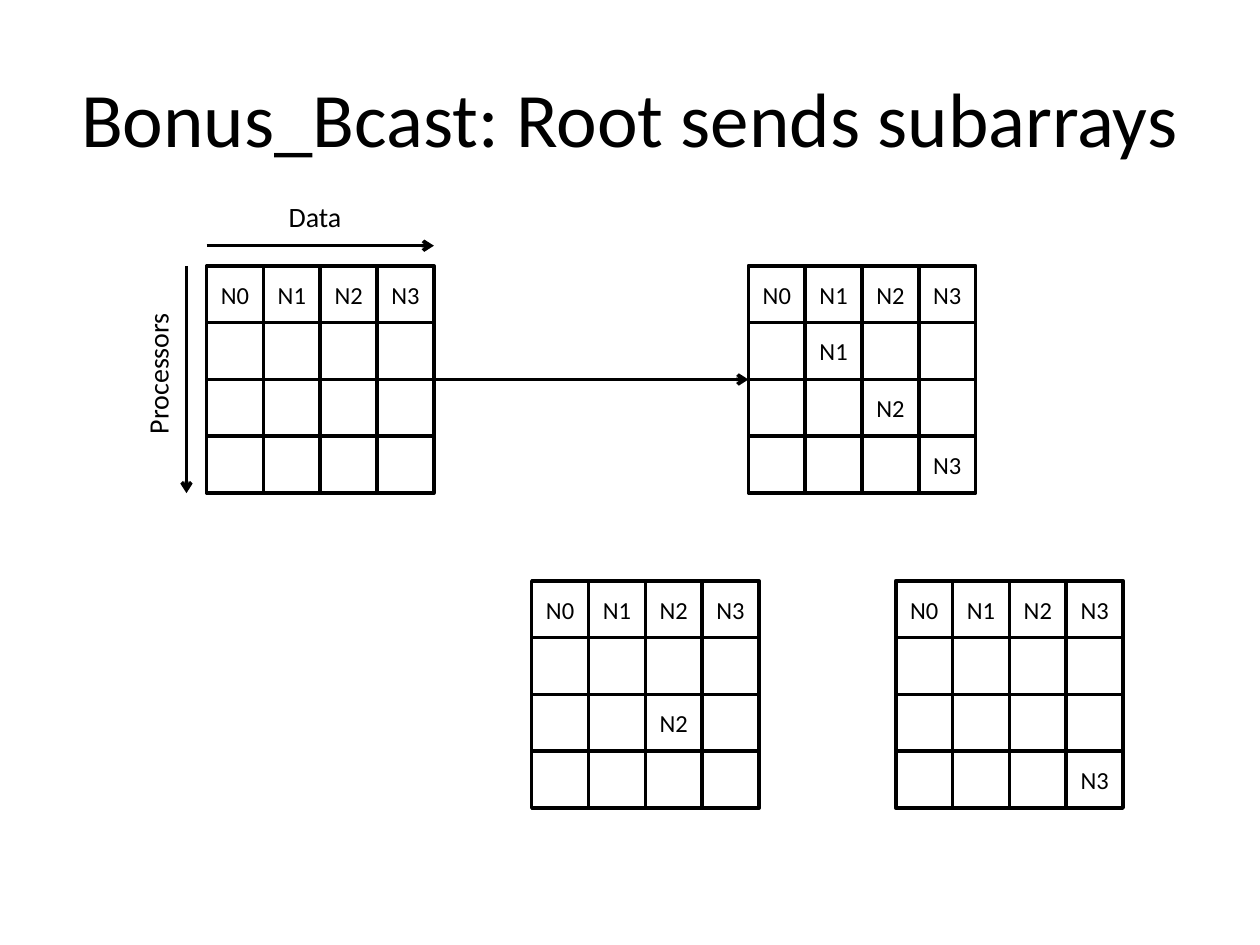
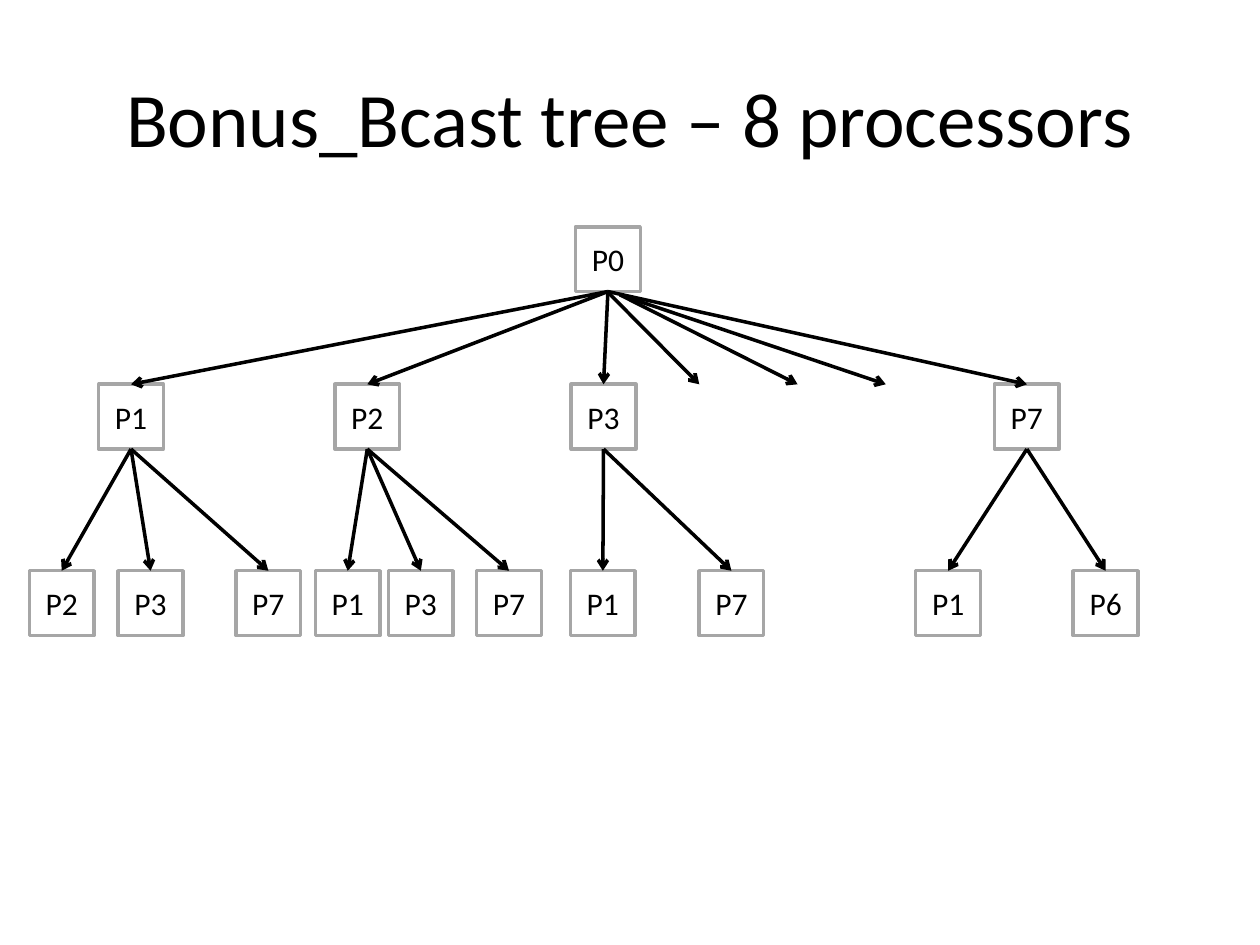
"""Builds two slides on broadcasting subarrays, laid out on a grid of 100 columns by 75 rows."""
from lxml.etree import SubElement as Sub
from pptx import Presentation as Deck
from pptx.dml.color import RGBColor as RGB
from pptx.enum.shapes import MSO_CONNECTOR as Link, MSO_SHAPE as Form
from pptx.enum.text import MSO_ANCHOR as Anchor, PP_ALIGN as Align
from pptx.oxml.ns import qn
from pptx.util import Inches, Pt

COLS, ROWS = 100, 75
CELL, NODE = 4.51, 5.14
HEADS = ["N0", "N1", "N2", "N3"]


class Board:
    """Holds the style and the current slide."""

    hues = {"ink": "000000", "edge": "A6A6A6"}
    face = "Calibri"
    sizes = {"title": 44, "node": 18, "label": 16, "cell": 14}
    width = 2

    def __init__(self):
        self.deck = Deck()
        self.deck.slide_width, self.deck.slide_height = Inches(10), Inches(7.5)
        self.slide = None

    def x(self, col):
        return round(self.deck.slide_width * col / COLS)

    def y(self, row):
        return round(self.deck.slide_height * row / ROWS)

    def area(self, col, row, wide, high):
        return self.x(col), self.y(row), self.x(wide), self.y(high)

    def hue(self, name):
        return RGB.from_string(self.hues[name])

    def page(self, title):
        self.slide = self.deck.slides.add_slide(self.deck.slide_layouts[6])
        self.label(title, 5, 3, 90, 12.5, "title")

    def letter(self, shape, text, kind):
        frame = shape.text_frame
        frame.word_wrap = True
        frame.vertical_anchor = Anchor.MIDDLE
        para = frame.paragraphs[0]
        para.text = text
        para.alignment = Align.CENTER
        font = para.font
        font.name, font.size = self.face, Pt(self.sizes[kind])
        font.color.rgb = self.hue("ink")

    def label(self, text, col, row, wide, high, kind="label", turn=0):
        box = self.slide.shapes.add_textbox(*self.area(col, row, wide, high))
        box.rotation = turn
        self.letter(box, text, kind)

    def box(self, home, text, col, row, side, kind, edge):
        shape = home.add_shape(Form.RECTANGLE, *self.area(col, row, side, side))
        shape.shadow.inherit = False
        shape.fill.background()
        shape.line.color.rgb = self.hue(edge)
        shape.line.width = Pt(self.width)
        frame = shape.text_frame
        frame.margin_left = frame.margin_right = 0
        if text:
            self.letter(shape, text, kind)

    def mesh(self, col, row, own=()):
        group = self.slide.shapes.add_group_shape()
        for i in range(len(HEADS)):
            for j, head in enumerate(HEADS):
                text = head if i == 0 or (i == j and i in own) else ""
                self.box(group.shapes, text, col + j * CELL, row + i * CELL,
                         CELL, "cell", "ink")

    def node(self, text, mid, top):
        self.box(self.slide.shapes, text, mid - NODE / 2, top, NODE, "node", "edge")

    def arrow(self, start, end):
        line = self.slide.shapes.add_connector(
            Link.STRAIGHT, self.x(start[0]), self.y(start[1]),
            self.x(end[0]), self.y(end[1]))
        line.line.color.rgb = self.hue("ink")
        line.line.width = Pt(self.width)
        props = line.element.spPr
        Sub(props.find(qn("a:ln")), qn("a:tailEnd"), type="arrow")
        Sub(props, qn("a:effectLst"))


def share(board):
    """Draws the data meshes before and after the sends."""
    board.page("Bonus_Bcast: Root sends subarrays")
    left, top, right, span = 16.4, 21.1, 59.4, len(HEADS) * CELL
    for col, row, own in [(71.1, 46.1, {3}), (42.2, 46.1, {2}),
                          (left, top, ()), (right, top, {1, 2, 3})]:
        board.mesh(col, row, own)
    mid, gap = top + span / 2, 1.6
    board.arrow((left + span, mid), (right, mid))
    board.arrow((left, top - gap), (left + span, top - gap))
    board.arrow((left - gap, top), (left - gap, top + span))
    board.label("Data", 17.2, 14.8, 15.6, 4.7)
    board.label("Processors", 4.7, 27.3, 15.6, 4.7, turn=270)


def tree(board):
    """Draws the root, its branches and their leaves."""
    board.page("Bonus_Bcast tree – 8 processors")
    root, tops = 48.25, (18, 30.5, 45.3)
    branches = [
        ("P1", 10.4, [("P2", 4.9), ("P3", 11.95), ("P7", 21.3)]),
        ("P2", 29.15, [("P1", 27.6), ("P3", 33.4), ("P7", 40.4)]),
        ("P3", 47.9, [("P1", 47.85), ("P7", 58.05)]),
        ("P7", 81.5, [("P1", 75.25), ("P6", 87.75)]),
    ]
    board.node("P0", root, tops[0])
    for name, mid, leaves in branches:
        board.node(name, mid, tops[1])
        board.arrow((root, tops[0] + NODE), (mid, tops[1]))
        for leaf, spot in leaves:
            board.node(leaf, spot, tops[2])
            board.arrow((mid, tops[1] + NODE), (spot, tops[2]))
    for start, end in [((root, 23.2), 55.5), ((49.2, 23.4), 63.3), ((49.2, 23.4), 70.3)]:
        board.arrow(start, (end, tops[1]))


board = Board()
share(board)
tree(board)
board.deck.save("out.pptx")
